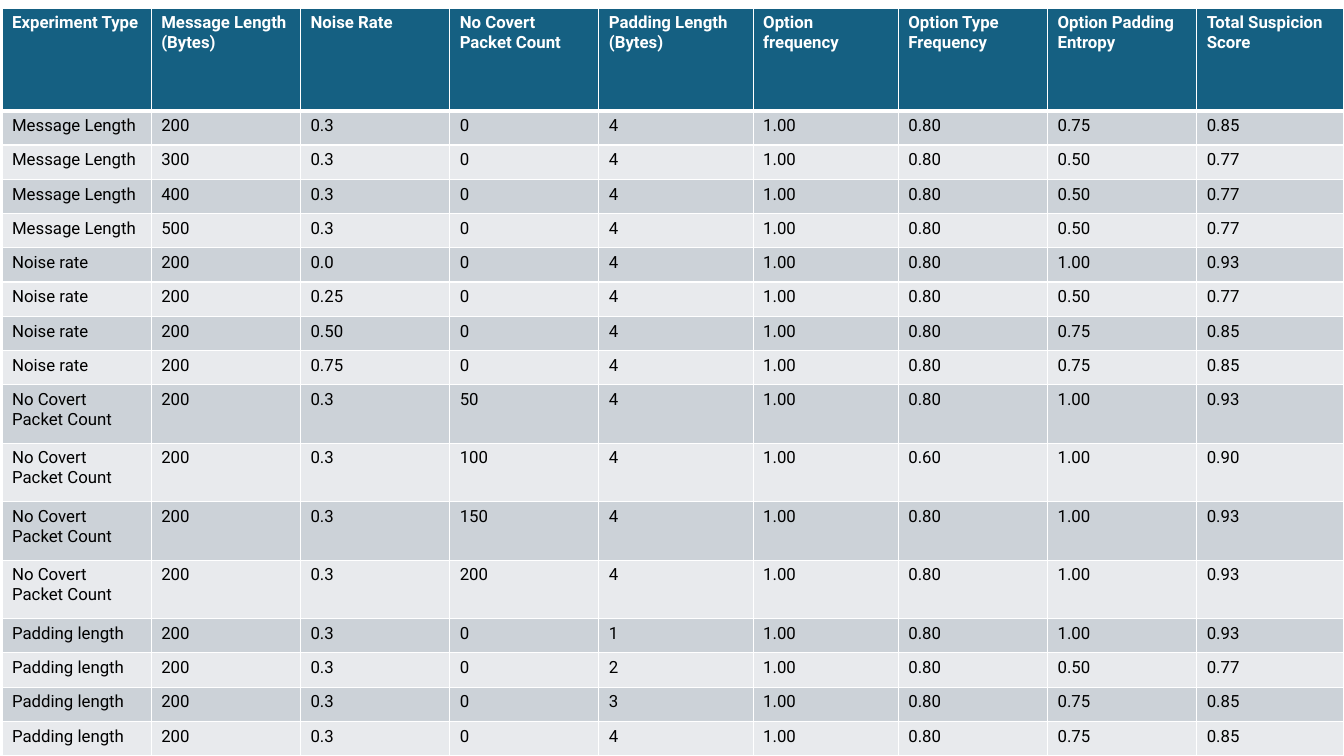
from lxml import etree
from pptx import Presentation
from pptx.dml.color import RGBColor
from pptx.oxml.ns import qn
from pptx.util import Inches, Pt

WHITE = RGBColor(0xFF, 0xFF, 0xFF)
BLACK = RGBColor(0x00, 0x00, 0x00)
HEADER_BLUE = RGBColor(0x15, 0x60, 0x82)
BAND_DARK = RGBColor(0xCC, 0xD2, 0xD8)
BAND_LIGHT = RGBColor(0xE8, 0xEA, 0xED)
FONT = "Roboto"
BLANK_LAYOUT = 6

COLUMN_WIDTHS = [1.48, 1.48, 1.48, 1.48, 1.53, 1.44, 1.48, 1.48, 1.46]
HEADER_HEIGHT, LINE_HEIGHT, TWO_LINE_HEIGHT = 1.02, 0.34, 0.58

HEADINGS = [
    "Experiment Type", "Message Length (Bytes)", "Noise Rate",
    "No Covert Packet Count", "Padding Length (Bytes)", "Option frequency",
    "Option Type Frequency", "Option Padding Entropy", "Total Suspicion Score",
]
EXPERIMENTS = [
    ("Message Length", LINE_HEIGHT, [
        "200 0.3 0 4 1.00 0.80 0.75 0.85",
        "300 0.3 0 4 1.00 0.80 0.50 0.77",
        "400 0.3 0 4 1.00 0.80 0.50 0.77",
        "500 0.3 0 4 1.00 0.80 0.50 0.77",
    ]),
    ("Noise rate", LINE_HEIGHT, [
        "200 0.0 0 4 1.00 0.80 1.00 0.93",
        "200 0.25 0 4 1.00 0.80 0.50 0.77",
        "200 0.50 0 4 1.00 0.80 0.75 0.85",
        "200 0.75 0 4 1.00 0.80 0.75 0.85",
    ]),
    ("No Covert Packet Count", TWO_LINE_HEIGHT, [
        "200 0.3 50 4 1.00 0.80 1.00 0.93",
        "200 0.3 100 4 1.00 0.60 1.00 0.90",
        "200 0.3 150 4 1.00 0.80 1.00 0.93",
        "200 0.3 200 4 1.00 0.80 1.00 0.93",
    ]),
    ("Padding length", LINE_HEIGHT, [
        "200 0.3 0 1 1.00 0.80 1.00 0.93",
        "200 0.3 0 2 1.00 0.80 0.50 0.77",
        "200 0.3 0 3 1.00 0.80 0.75 0.85",
        "200 0.3 0 4 1.00 0.80 0.75 0.85",
    ]),
]


def write_text(frame, text, size=12, color=BLACK, bold=False):
    """Write one run of formatted text into a text frame."""
    run = frame.paragraphs[0].add_run()
    run.text = text
    run.font.name = FONT
    run.font.size = Pt(size)
    run.font.bold = bold
    run.font.color.rgb = color


def set_borders(cell, top=1, bottom=1):
    """Draw white borders of the given point widths around a cell."""
    properties = cell._tc.get_or_add_tcPr()
    for side, width in (("L", 1), ("R", 1), ("T", top), ("B", bottom)):
        border = etree.SubElement(properties, qn(f"a:ln{side}"), w=str(Pt(width)))
        fill = etree.SubElement(border, qn("a:solidFill"))
        etree.SubElement(fill, qn("a:srgbClr"), val=str(WHITE))


def fill_row(row, texts, fill, color=BLACK, bold=False, top=1, bottom=1):
    """Fill one table row with texts on a single background colour."""
    for cell, text in zip(row.cells, texts):
        set_borders(cell, top=top, bottom=bottom)
        cell.fill.solid()
        cell.fill.fore_color.rgb = fill
        write_text(cell.text_frame, text, color=color, bold=bold)


def add_results_table(slide, left, top, width, height):
    """Place the table of experiment results in the given box."""
    results = [
        (row_height, [experiment, *values.split()])
        for experiment, row_height, runs in EXPERIMENTS
        for values in runs
    ]
    table = slide.shapes.add_table(
        len(results) + 1, len(HEADINGS),
        Inches(left), Inches(top), Inches(width), Inches(height),
    ).table
    for column, column_width in zip(table.columns, COLUMN_WIDTHS):
        column.width = Inches(column_width)

    table.rows[0].height = Inches(HEADER_HEIGHT)
    fill_row(table.rows[0], HEADINGS, HEADER_BLUE, color=WHITE, bold=True, bottom=3)
    for index, (row_height, texts) in enumerate(results, start=1):
        row = table.rows[index]
        row.height = Inches(row_height)
        band = BAND_DARK if index % 2 else BAND_LIGHT
        fill_row(row, texts, band, top=3 if index == 1 else 1)


def main():
    """Build the slide and save the presentation."""
    presentation = Presentation()
    presentation.slide_width = Inches(13.33)
    presentation.slide_height = Inches(7.5)
    slide = presentation.slides.add_slide(presentation.slide_layouts[BLANK_LAYOUT])
    add_results_table(slide, 0.02, 0.08, 13.31, 7.42)
    presentation.save("out.pptx")


if __name__ == "__main__":
    main()
